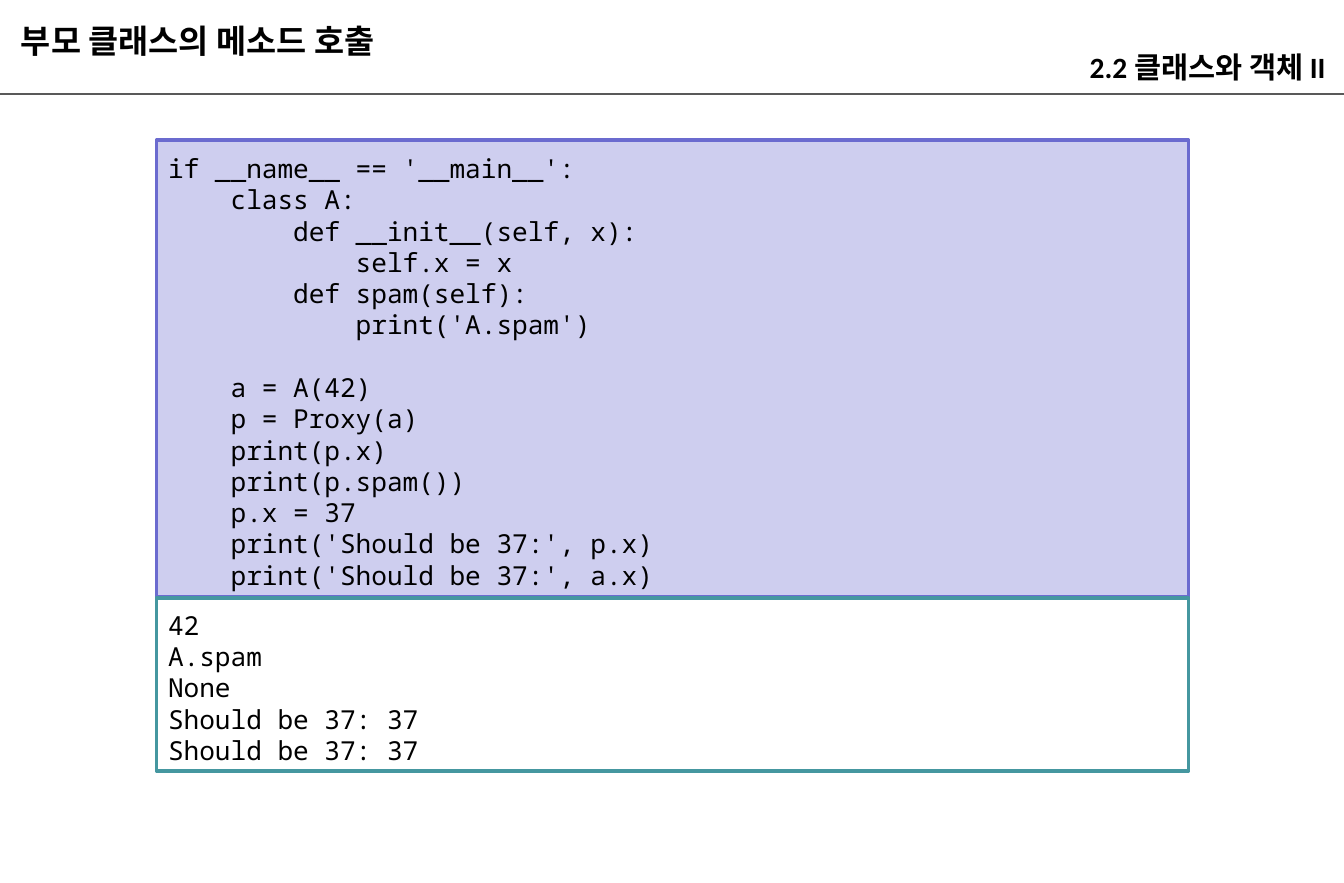
import pptx
import pptx.util
import pptx.dml.color
import pptx.enum.shapes
import pptx.enum.text
import pptx.oxml.ns
from dataclasses import dataclass

Pt = pptx.util.Pt
RGB = pptx.dml.color.RGBColor.from_string
ALIGN = pptx.enum.text.PP_ALIGN
ANCHOR = pptx.enum.text.MSO_ANCHOR


@dataclass(frozen=True)
class Theme:
    text: str = "000000"
    rule: str = "595959"
    code_fill: str = "CECEEF"
    code_line: str = "6B6BCF"
    output_fill: str = "FFFFFF"
    output_line: str = "4597A0"
    heading_font: str = "Calibri"
    code_font: str = "Noto Sans Mono"
    title_size: int = 20
    section_size: int = 18
    code_size: int = 16
    code_leading: float = 19.15


theme = Theme()
SLIDE_W, SLIDE_H = 822.24, 540

CODE = """if __name__ == '__main__':
    class A:
        def __init__(self, x):
            self.x = x
        def spam(self):
            print('A.spam')

    a = A(42)
    p = Proxy(a)
    print(p.x)
    print(p.spam())
    p.x = 37
    print('Should be 37:', p.x)
    print('Should be 37:', a.x)"""

OUTPUT = """42
A.spam
None
Should be 37: 37
Should be 37: 37"""


def style_run(r, font, size, bold=False):
    r.font.name = font
    r.font.size = Pt(size)
    r.font.bold = bold
    r.font.color.rgb = RGB(theme.text)


def set_frame(tf, anchor, left, top, right, bottom):
    tf.word_wrap = True
    tf.vertical_anchor = anchor
    tf.margin_left, tf.margin_top = Pt(left), Pt(top)
    tf.margin_right, tf.margin_bottom = Pt(right), Pt(bottom)


prs = pptx.Presentation()
prs.slide_width, prs.slide_height = Pt(SLIDE_W), Pt(SLIDE_H)
s = prs.slides.add_slide(prs.slide_layouts[6])

# Header rule
rule = s.shapes.add_connector(
    pptx.enum.shapes.MSO_CONNECTOR.STRAIGHT, Pt(0), Pt(57.6), Pt(SLIDE_W), Pt(57.6))
rule.line.color.rgb = RGB(theme.rule)
rule.line.width = Pt(1.5)
rule._element.spPr.append(pptx.oxml.parse_xml(
    "<a:effectLst %s/>" % pptx.oxml.ns.nsdecls("a")))

# Title and section headings
headings = [
    ("부모 클래스의 메소드 호출", 5.76, 6.48, 367.92, theme.title_size, ALIGN.LEFT, 7.2),
    ("2.2 클래스와 객체 II", 439.92, 21.6, 382.32, theme.section_size, ALIGN.RIGHT, 11.3),
]
for text, x, y, w, size, align, right in headings:
    tf = s.shapes.add_textbox(Pt(x), Pt(y), Pt(w), Pt(31.68)).text_frame
    set_frame(tf, ANCHOR.BOTTOM, 7.2, 1.44, right, 1.44)
    tf.text = text
    p = tf.paragraphs[0]
    p.alignment = align
    style_run(p.runs[0], size=size, font=theme.heading_font, bold=True)

# Code panel and its output below
panels = [
    (CODE, 85.68, 279.36, theme.code_fill, theme.code_line),
    (OUTPUT, 365.76, 105.84, theme.output_fill, theme.output_line),
]
for listing, y, h, fill, line in panels:
    sp = s.shapes.add_shape(
        pptx.enum.shapes.MSO_SHAPE.RECTANGLE, Pt(95.76), Pt(y), Pt(631.44), Pt(h))
    sp.shadow.inherit = False
    sp.fill.solid()
    sp.fill.fore_color.rgb = RGB(fill)
    sp.line.color.rgb = RGB(line)
    sp.line.width = Pt(2)
    tf = sp.text_frame
    set_frame(tf, ANCHOR.MIDDLE, 7.2, 7.1, 7.2, 3.6)

    # An empty code line becomes space before the next block
    for b, block in enumerate(listing.split("\n\n")):
        for i, code_line in enumerate(block.split("\n")):
            p = tf.paragraphs[0] if b == i == 0 else tf.add_paragraph()
            p.text = code_line
            p.alignment = ALIGN.LEFT
            p.line_spacing = Pt(theme.code_leading)
            if b > 0 and i == 0:
                p.space_before = Pt(theme.code_leading)
            style_run(p.runs[0], theme.code_font, theme.code_size)

prs.save("out.pptx")
